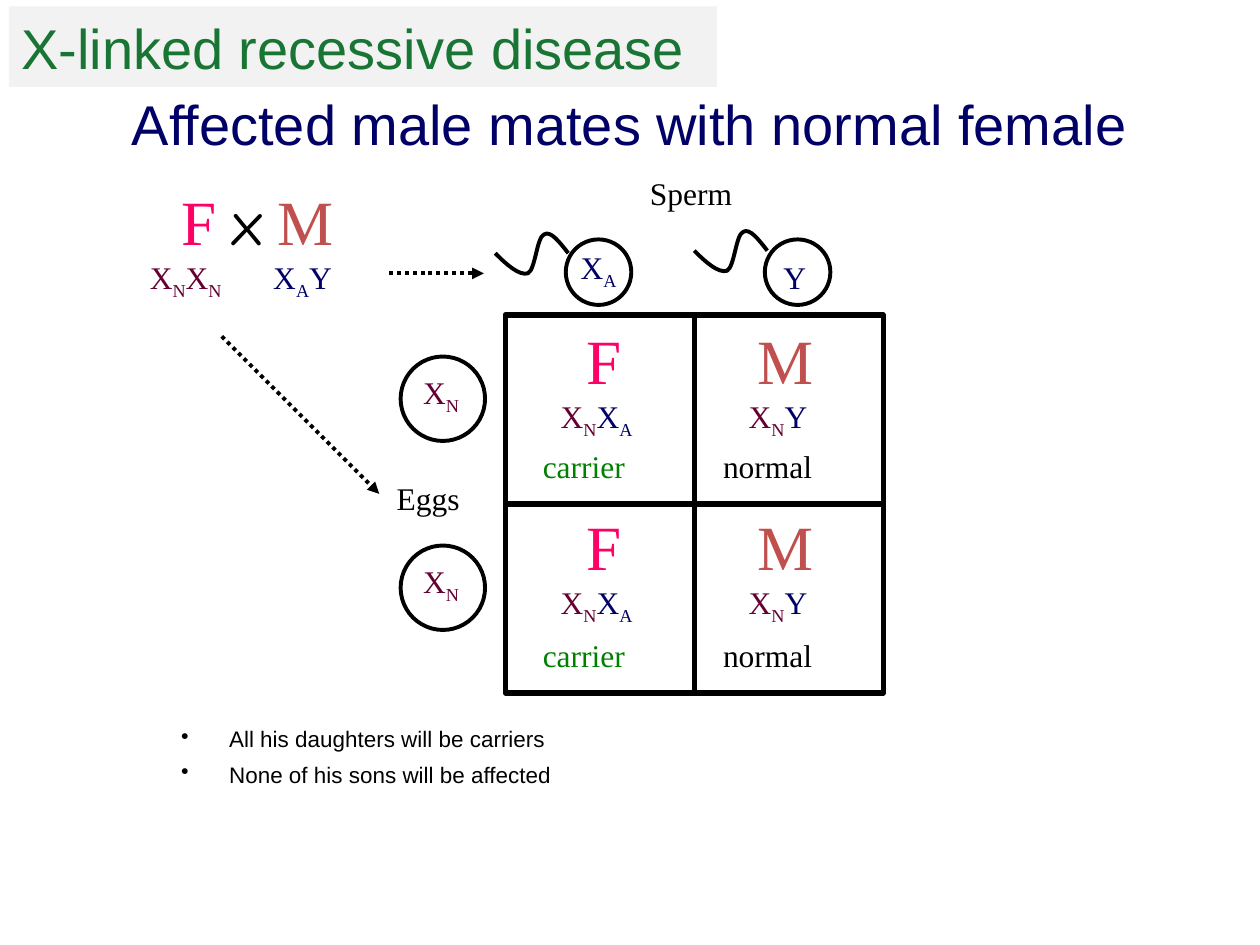
"""Build a slide showing a Punnett square for an X-linked recessive disease."""
from dataclasses import dataclass
from typing import NamedTuple

import pptx
import pptx.dml.color
import pptx.enum.dml
import pptx.enum.shapes
import pptx.enum.text
import pptx.oxml
import pptx.oxml.ns
import pptx.util

Inches = pptx.util.Inches
Pt = pptx.util.Pt
MsoShape = pptx.enum.shapes.MSO_SHAPE
Align = pptx.enum.text.PP_ALIGN
Anchor = pptx.enum.text.MSO_ANCHOR
AutoSize = pptx.enum.text.MSO_AUTO_SIZE

BLACK, NAVY, MAROON = "000000", "000066", "660033"
PINK, RED, GREEN = "FF0066", "C0504D", "008000"
SERIF, SANS, HAND = "Times New Roman", "Arial", "Comic Neue"
SQUARE_LEFT, SQUARE_TOP, CELL = 4.01, 2.5, 1.5


class Run(NamedTuple):
    text: str
    color: str = BLACK
    size: float = 18
    font: str = SERIF
    subscript: bool = False


@dataclass
class Line:
    runs: list[Run]
    align: Align = Align.LEFT
    indent: float = 0
    tab: float = 0


@dataclass
class Offspring:
    sex: Run
    genotype: list[Run]
    status: Run
    left: float
    status_left: float


def allele(letter: str, color: str) -> list[Run]:
    return [Run("X", color), Run(letter, color, subscript=True)]


X_NORMAL, X_AFFECTED, Y = allele("N", MAROON), allele("A", NAVY), [Run("Y", NAVY)]
FEMALE, MALE = Run("F", PINK, 36), Run("M", RED, 36)


def rgb(color: str):
    return pptx.dml.color.RGBColor.from_string(color)


def add_runs(paragraph, runs: list[Run]) -> None:
    for item in runs:
        run = paragraph.add_run()
        run.text = item.text
        run.font.size = Pt(item.size)
        run.font.name = item.font
        run.font.color.rgb = rgb(item.color)
        if item.subscript:
            run.font._element.set("baseline", "-25000")


def add_text(slide, left: float, top: float, width: float, height: float,
             lines: list[Line], wrap: bool = False) -> None:
    box = slide.shapes.add_textbox(Inches(left), Inches(top), Inches(width), Inches(height))
    frame = box.text_frame
    frame.word_wrap = wrap
    frame.auto_size = AutoSize.SHAPE_TO_FIT_TEXT
    for index, line in enumerate(lines):
        paragraph = frame.add_paragraph() if index else frame.paragraphs[0]
        paragraph.alignment = line.align
        properties = paragraph._p.get_or_add_pPr()
        if line.indent:
            properties.set("marL", str(Inches(line.indent)))
        if line.tab:
            properties.append(pptx.oxml.parse_xml(
                f'<a:tabLst {pptx.oxml.ns.nsdecls("a")}>'
                f'<a:tab pos="{Inches(line.tab)}" algn="l"/></a:tabLst>'))
        add_runs(paragraph, line.runs)


def add_outline(slide, kind: MsoShape, left: float, top: float, size: float, weight: float) -> None:
    shape = slide.shapes.add_shape(kind, Inches(left), Inches(top), Inches(size), Inches(size))
    shape.shadow.inherit = False
    shape.fill.background()
    shape.line.color.rgb = rgb(BLACK)
    shape.line.width = Pt(weight)


def add_line(slide, start: tuple[float, float], end: tuple[float, float],
             weight: float, arrow: bool = False) -> None:
    connector = slide.shapes.add_connector(
        pptx.enum.shapes.MSO_CONNECTOR.STRAIGHT, *map(Inches, start + end))
    connector.line.color.rgb = rgb(BLACK)
    connector.line.width = Pt(weight)
    if arrow:
        connector.line.dash_style = pptx.enum.dml.MSO_LINE.ROUND_DOT
        outline = connector.line._get_or_add_ln()
        outline.append(pptx.oxml.parse_xml(
            f'<a:tailEnd {pptx.oxml.ns.nsdecls("a")} type="triangle"/>'))
    connector._element.spPr.append(
        pptx.oxml.parse_xml(f'<a:effectLst {pptx.oxml.ns.nsdecls("a")}/>'))


def add_sperm_tail(slide, left: float, top: float) -> None:
    offsets = [(0.58, 0.18), (0.51, 0.09), (0.44, 0), (0.39, 0.03), (0.33, 0.05),
               (0.32, 0.31), (0.26, 0.34), (0.19, 0.36), (0.09, 0.27), (0, 0.18)]
    points = [(Inches(left + x), Inches(top + y)) for x, y in offsets]
    builder = slide.shapes.build_freeform(*points[0])
    builder.add_line_segments(points[1:], close=False)
    shape = builder.convert_to_shape()
    segments = list(shape._element.iter(pptx.oxml.ns.qn("a:lnTo")))
    for first in range(0, len(segments), 3):
        curve = pptx.oxml.parse_xml(f'<a:cubicBezTo {pptx.oxml.ns.nsdecls("a")}/>')
        segments[first].addprevious(curve)
        for segment in segments[first:first + 3]:
            curve.append(segment[0])
            segment.getparent().remove(segment)
    shape.shadow.inherit = False
    shape.fill.background()
    shape.line.color.rgb = rgb(BLACK)
    shape.line.width = Pt(2.25)


def add_offspring(slide, child: Offspring, row: int) -> None:
    lines = [Line([child.sex], Align.CENTER, indent=0.12), Line(child.genotype, Align.CENTER)]
    add_text(slide, child.left, SQUARE_TOP + 1.48 * row, 0.77, 1.34, lines)
    add_text(slide, child.status_left, SQUARE_TOP + 1 + CELL * row, 1, 0.4,
             [Line([child.status])])


def add_conclusions(slide, sentences: list[str]) -> None:
    box = slide.shapes.add_textbox(Inches(1.34), Inches(5.75), Inches(8.5), Inches(0.67))
    frame = box.text_frame
    frame.word_wrap = True
    for index, sentence in enumerate(sentences):
        paragraph = frame.add_paragraph() if index else frame.paragraphs[0]
        paragraph.line_spacing = 0.8
        paragraph.space_before = Pt(8 if index else 0)
        properties = paragraph._p.get_or_add_pPr()
        properties.set("marL", str(Inches(0.38)))
        properties.set("indent", str(-Inches(0.38)))
        properties.append(pptx.oxml.parse_xml(
            f'<a:buChar {pptx.oxml.ns.nsdecls("a")} char="•"/>'))
        add_runs(paragraph, [Run(sentence, BLACK, 12.8, SANS)])


def add_titles(slide) -> None:
    title = slide.shapes.title
    title.left, title.top, title.width, title.height = map(Inches, (0, 0.77, 10, 0.42))
    frame = title.text_frame
    frame.auto_size = AutoSize.NONE
    frame.vertical_anchor = Anchor.MIDDLE
    frame.margin_left = frame.margin_right = frame.margin_top = frame.margin_bottom = 0
    frame.paragraphs[0].alignment = Align.CENTER
    add_runs(frame.paragraphs[0], [Run("Affected male mates with normal female", NAVY, 32, SANS)])

    banner = slide.shapes.add_shape(
        MsoShape.RECTANGLE, Inches(0.07), Inches(0.05), Inches(5.62), Inches(0.64))
    banner.shadow.inherit = False
    banner.fill.solid()
    banner.fill.fore_color.rgb = rgb("F2F2F2")
    banner.line.fill.background()
    banner.text_frame.word_wrap = True
    banner.text_frame.paragraphs[0].alignment = Align.LEFT
    add_runs(banner.text_frame.paragraphs[0],
             [Run("X-linked recessive disease", "187534", 32, SANS)])


def main() -> None:
    presentation = pptx.Presentation()
    presentation.slide_width, presentation.slide_height = Inches(10), Inches(7.5)
    slide = presentation.slides.add_slide(presentation.slide_layouts[5])
    add_titles(slide)

    middle_x, middle_y = SQUARE_LEFT + CELL, SQUARE_TOP + CELL
    add_outline(slide, MsoShape.RECTANGLE, SQUARE_LEFT, SQUARE_TOP, 2 * CELL, 3)
    add_line(slide, (middle_x, SQUARE_TOP), (middle_x, SQUARE_TOP + 2 * CELL), 3)
    add_line(slide, (SQUARE_LEFT, middle_y), (SQUARE_LEFT + 2 * CELL, middle_y), 3)

    space = Run(" ", size=36)
    parents = [Line([FEMALE, space, Run("x", BLACK, 36, HAND), space, MALE], indent=0.25),
               Line(X_NORMAL + X_NORMAL + [Run("\t")] + X_AFFECTED + Y, tab=0.98)]
    add_text(slide, 1.09, 1.4, 2.08, 1.34, parents, wrap=True)
    add_line(slide, (1.76, 2.67), (3.01, 3.92), 2.25, arrow=True)
    add_line(slide, (3.09, 2.17), (3.84, 2.17), 2.25, arrow=True)

    add_text(slide, 5.06, 1.33, 0.95, 0.4, [Line([Run("Sperm")])])
    for circle_left, tail_left, tail_top in [(4.49, 3.93, 1.83), (6.07, 5.51, 1.81)]:
        add_outline(slide, MsoShape.OVAL, circle_left, 1.9, 0.52, 2.25)
        add_sperm_tail(slide, tail_left, tail_top)
    add_text(slide, 4.51, 1.92, 0.6, 0.44, [Line(X_AFFECTED)])
    add_text(slide, 6.12, 2, 0.5, 0.4, [Line(Y)])

    add_text(slide, 3.05, 3.75, 0.8, 0.4, [Line([Run("Eggs")])])
    daughter = Offspring(FEMALE, X_NORMAL + X_AFFECTED, Run("carrier", GREEN), 4.35, 4.21)
    son = Offspring(MALE, X_NORMAL + Y, Run("normal"), 5.79, 5.64)
    for row in range(2):
        add_outline(slide, MsoShape.OVAL, 3.18, 2.83 + CELL * row, 0.67, 2.25)
        add_text(slide, 3.26, 2.91 + CELL * row, 0.6, 0.44, [Line(X_NORMAL)])
        add_offspring(slide, daughter, row)
        add_offspring(slide, son, row)

    add_conclusions(slide, ["All his daughters will be carriers",
                            "None of his sons will be affected"])
    presentation.save("out.pptx")


if __name__ == "__main__":
    main()
